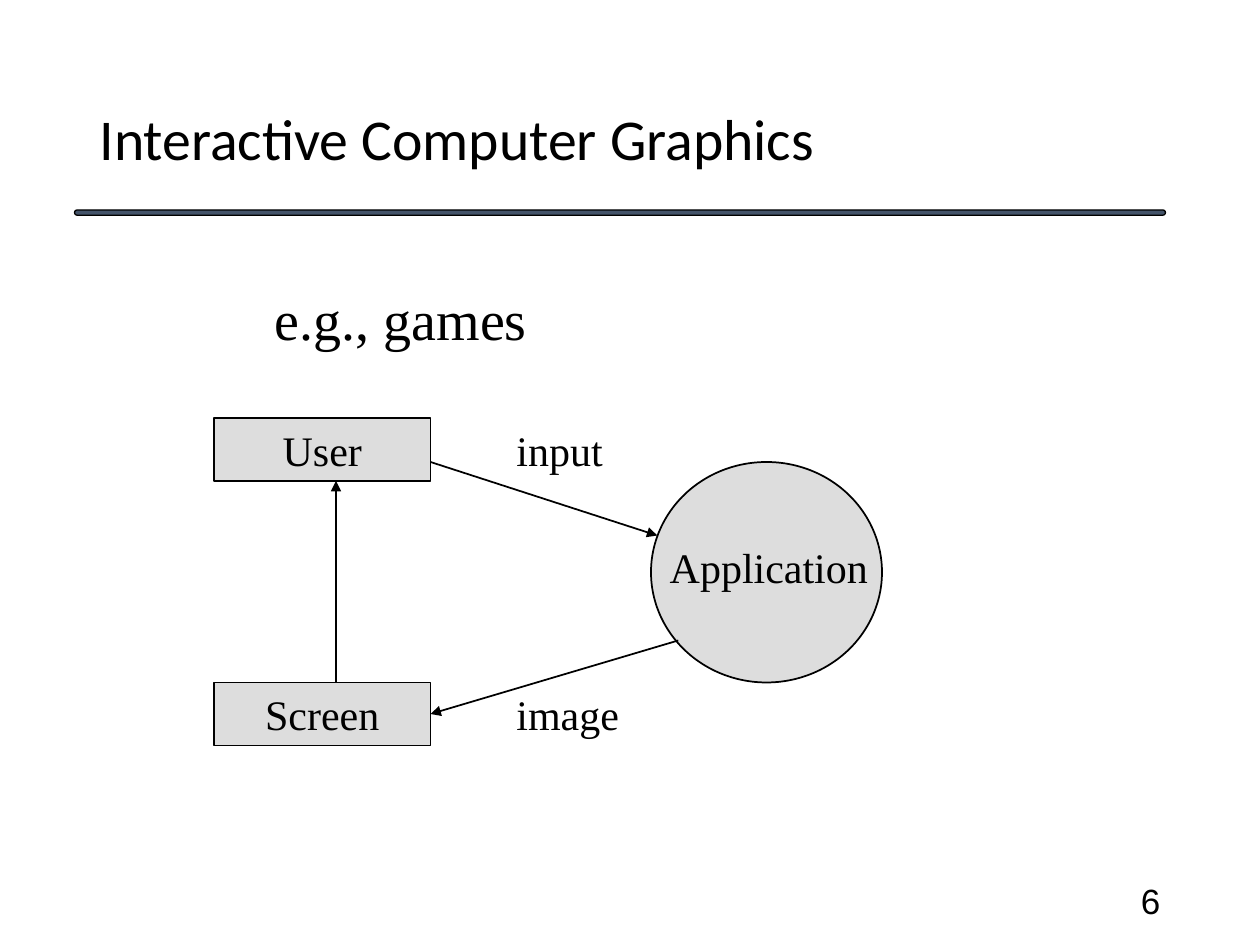
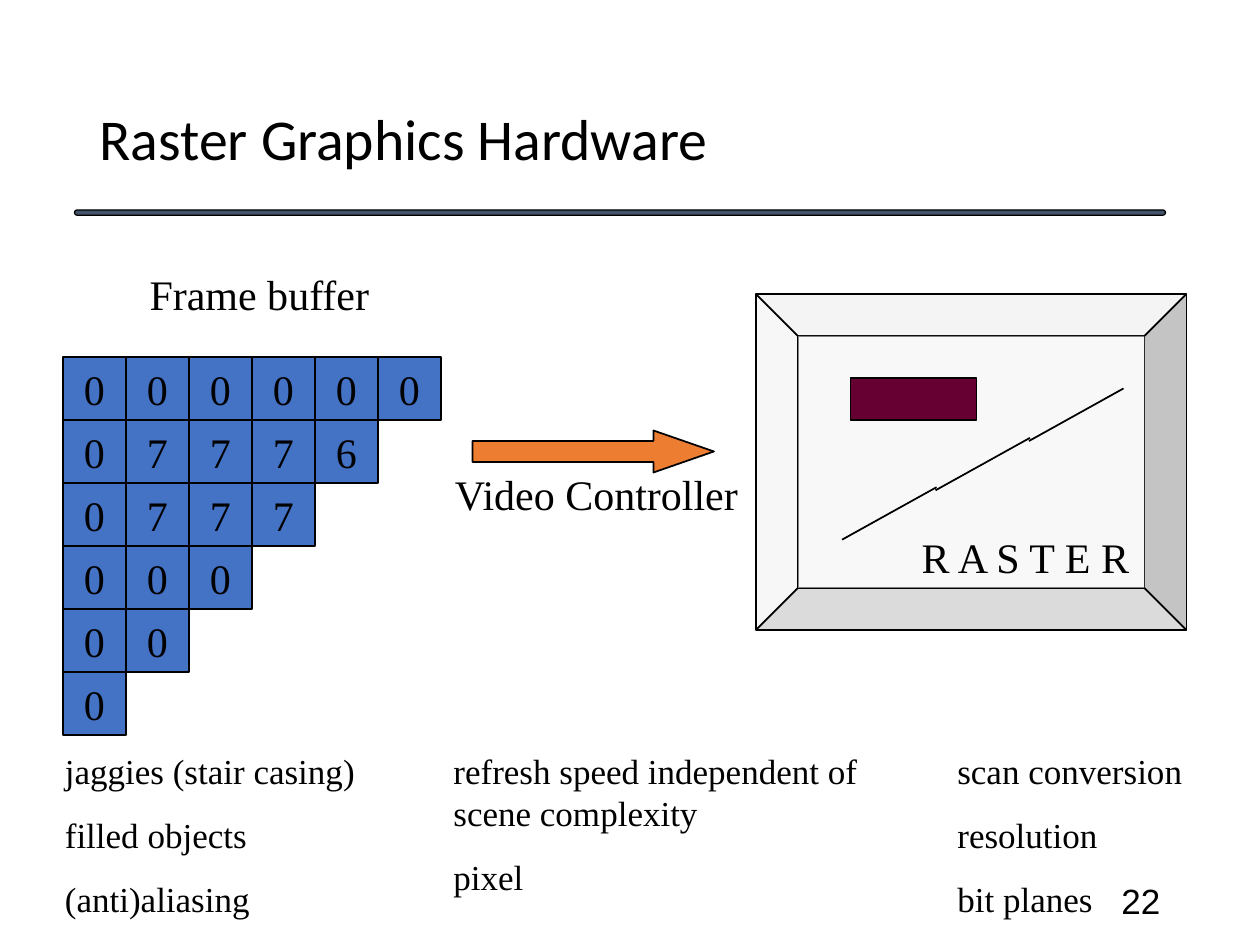
import pptx
import pptx.dml.color
import pptx.enum.shapes
import pptx.enum.text
import pptx.oxml
import pptx.oxml.ns
import pptx.util

SHAPES = pptx.enum.shapes.MSO_SHAPE
ALIGN = pptx.enum.text.PP_ALIGN
ANCHOR = pptx.enum.text.MSO_ANCHOR
AUTO_SIZE = pptx.enum.text.MSO_AUTO_SIZE

WIDTH, HEIGHT = pptx.util.Inches(10), pptx.util.Inches(7.5)
COLUMNS, ROWS = 120, 90  # grid of square cells
CONNECTION_SIDES = {"top": 0, "left": 1, "bottom": 2, "right": 3}

COLORS = {
    "ink": "000000",
    "band": "44546A",
    "node": "DDDDDD",
    "cell": "4472C4",
    "bevel": "E7E6E6",
    "glass": "FFFFFF",
    "arrow": "ED7D31",
    "block": "660033",
}

TEXT_STYLES = {
    "title": {"font": {"name": "Calibri", "size": 33}, "paragraph": {"line_spacing": 0.9}},
    "number": {"font": {"name": "Arial", "size": 20}, "paragraph": {"alignment": ALIGN.RIGHT}},
    "example": {"font": {"name": "Times New Roman", "size": 32}, "paragraph": {"space_before": 20}},
    "label": {"font": {"name": "Times New Roman", "size": 24}, "paragraph": {"space_before": 15}},
    "centred": {
        "font": {"name": "Times New Roman", "size": 24},
        "paragraph": {"space_before": 15, "alignment": ALIGN.CENTER},
    },
    "list": {"font": {"name": "Times New Roman", "size": 20}, "paragraph": {"space_before": 12.5}},
}
POINT_VALUES = {"size", "space_before"}


def set_attributes(target, values):
    for name, value in values.items():
        setattr(target, name, pptx.util.Pt(value) if name in POINT_VALUES else value)


def rgb(color):
    return pptx.dml.color.RGBColor.from_string(COLORS[color])


def drawing_element(tag, **attributes):
    element = pptx.oxml.parse_xml(f"<a:{tag} {pptx.oxml.ns.nsdecls('a')}/>")
    for name, value in attributes.items():
        element.set(name, value)
    return element


class SlideBuilder:
    """Holds the shared style and the current slide; lengths are grid units."""

    def __init__(self):
        self.presentation = pptx.Presentation()
        self.presentation.slide_width = WIDTH
        self.presentation.slide_height = HEIGHT
        self.slide = None

    def place(self, column, row):
        return int(WIDTH * column / COLUMNS), int(HEIGHT * row / ROWS)

    def new_slide(self, title, number):
        self.slide = self.presentation.slides.add_slide(self.presentation.slide_layouts[6])
        band = self.shape(SHAPES.ROUNDED_RECTANGLE, (7.1, 20, 103.9, 0.5), "band", line=0.75)
        band.adjustments[0] = 0.5
        self.text((8.3, 4.8, 103.6, 17.4), [title], "title", ANCHOR.MIDDLE)
        self.text((84.7, 83.4, 27, 4.8), [number], "number", ANCHOR.MIDDLE)

    def shape(self, kind, box, fill, line=1, alpha=None):
        shape = self.slide.shapes.add_shape(kind, *self.place(*box[:2]), *self.place(*box[2:]))
        shape.shadow.inherit = False
        shape.fill.solid()
        shape.fill.fore_color.rgb = rgb(fill)
        if alpha:
            color = shape._element.spPr.find(".//" + pptx.oxml.ns.qn("a:srgbClr"))
            color.append(drawing_element("alpha", val=str(alpha * 1000)))
        if line:
            shape.line.color.rgb = rgb("ink")
            shape.line.width = pptx.util.Pt(line)
        else:
            shape.line.fill.background()
        return shape

    def add_lines(self, shape, lines, style, anchor=ANCHOR.TOP, wrap=True, grow=False):
        frame = shape.text_frame
        set_attributes(frame, {
            "word_wrap": wrap,
            "vertical_anchor": anchor,
            "auto_size": AUTO_SIZE.SHAPE_TO_FIT_TEXT if grow else AUTO_SIZE.NONE,
        })
        for index, line in enumerate(lines):
            paragraph = frame.add_paragraph() if index else frame.paragraphs[0]
            set_attributes(paragraph, TEXT_STYLES[style]["paragraph"])
            run = paragraph.add_run()
            run.text = line
            set_attributes(run.font, TEXT_STYLES[style]["font"])
            run.font.color.rgb = rgb("ink")

    def text(self, box, lines, style, anchor=ANCHOR.TOP, wrap=True):
        text_box = self.slide.shapes.add_textbox(*self.place(*box[:2]), *self.place(*box[2:]))
        self.add_lines(text_box, lines, style, anchor, wrap)

    def caption(self, box, caption):
        self.text(box, [caption], "centred", ANCHOR.MIDDLE, wrap=False)

    def labelled_box(self, box, label, fill, wrap=True, grow=False):
        shape = self.shape(SHAPES.RECTANGLE, box, fill)
        self.add_lines(shape, [label], "centred", ANCHOR.MIDDLE, wrap, grow)
        return shape

    def line(self, start, end, arrow=False, join=None):
        connector = self.slide.shapes.add_connector(
            pptx.enum.shapes.MSO_CONNECTOR.STRAIGHT, *self.place(*start), *self.place(*end))
        connector.line.color.rgb = rgb("ink")
        connector.line.width = pptx.util.Pt(1)
        if arrow:
            connector.line._get_or_add_ln().append(drawing_element("tailEnd", type="triangle"))
        connector._element.spPr.append(drawing_element("effectLst"))
        if join:
            target, side = join
            connector.end_connect(target, CONNECTION_SIDES[side])


def build_interaction_slide(builder):
    builder.new_slide("Interactive Computer Graphics", "6")
    builder.text((25, 26.5, 60, 7.7), ["e.g., games"], "example")

    # User, screen and application
    builder.labelled_box((20.4, 39.8, 20.6, 6), "User", "node", grow=True)
    screen = builder.labelled_box((20.4, 65, 20.6, 6), "Screen", "node", grow=True)
    builder.shape(SHAPES.OVAL, (62, 44, 22, 21), "node")
    builder.text((62.6, 51, 22.4, 6), ["Application"], "label")

    # Flow between them
    builder.line((41, 44), (62.6, 51), arrow=True)
    builder.line((64.6, 61), (41, 68), arrow=True, join=(screen, "right"))
    builder.line((32, 65), (32, 45.8), arrow=True)
    for row, label in ((39.8, "input"), (65, "image")):
        builder.text((48, row, 14, 6), [label], "label")


def build_raster_slide(builder):
    builder.new_slide("Raster Graphics Hardware", "22")

    # Frame buffer
    builder.caption((13, 25, 23.4, 6), "Frame buffer")
    cell = 6
    for row, values in enumerate(("000000", "07776", "0777", "000", "00", "0")):
        for column, value in enumerate(values):
            box = (6 + column * cell, 34 + row * cell, cell, cell)
            builder.labelled_box(box, value, "cell", wrap=False)

    # Video controller
    arrow = builder.shape(SHAPES.RIGHT_ARROW, (45, 41, 23, 4), "arrow")
    arrow.adjustments[1] = 1.44
    builder.caption((42, 44, 29.6, 6), "Video Controller")

    # Monitor with a filled block and a jagged line
    builder.shape(SHAPES.BEVEL, (72, 28, 41, 32), "bevel", alpha=50)
    builder.shape(SHAPES.RECTANGLE, (76, 32, 33, 24), "glass", line=None, alpha=50)
    builder.shape(SHAPES.RECTANGLE, (81, 36, 12, 4), "block")
    builder.caption((86.3, 50, 22.7, 6), "R A S T E R")
    for step in range(3):
        column, row = 107 - 8.9 * step, 37 + 4.7 * step
        builder.line((column, row), (column - 9, row + 5))

    # Key terms
    for column, width, terms in (
        (5, 38, ["jaggies (stair casing)", "filled objects", "(anti)aliasing"]),
        (42, 46, ["refresh speed independent of scene complexity", "pixel"]),
        (90, 29, ["scan conversion", "resolution", "bit planes"]),
    ):
        builder.text((column, 70.8, width, 17.4), terms, "list")


def main():
    builder = SlideBuilder()
    build_interaction_slide(builder)
    build_raster_slide(builder)
    builder.presentation.save("out.pptx")


if __name__ == "__main__":
    main()
